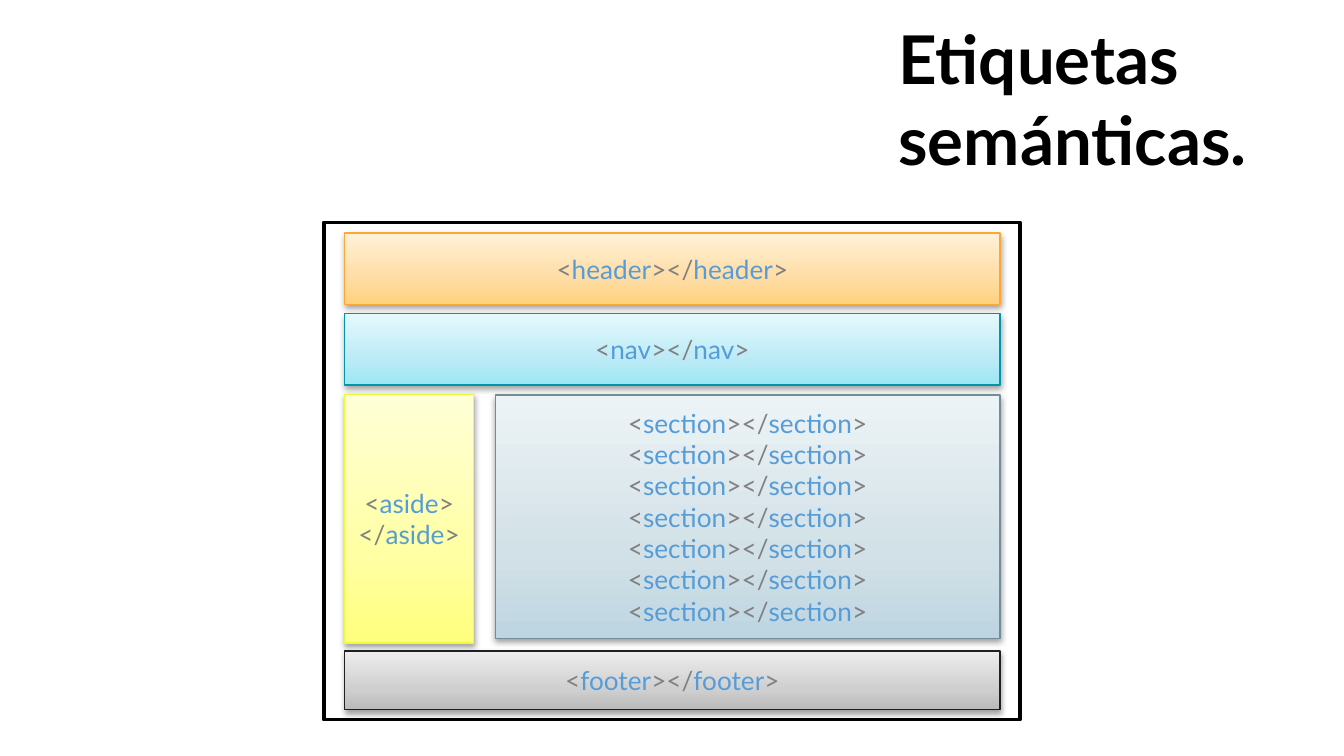
from copy import deepcopy

from lxml import etree
from pptx import Presentation, util as u
from pptx.dml.color import RGBColor
from pptx.enum import shapes, text
from pptx.oxml import ns

PX = 4572
FONT = "Lato"
BLACK = RGBColor(0, 0, 0)
WHITE = RGBColor(255, 255, 255)
GRAY = RGBColor(0x80, 0x80, 0x80)
BLUE = RGBColor(0x56, 0x9C, 0xD6)
ORANGE = [RGBColor.from_string(c) for c in ("FDA739", "FFD17D", "FFDCA3", "FFF1D8")]
CYAN = [RGBColor.from_string(c) for c in ("0096A7", "9CE7F5", "BBEAF6", "E4F9FC")]
SLATE = [RGBColor.from_string(c) for c in ("748C98", "BDD5E1", "D2E1E7", "ECF3F6")]
YELLOW = [RGBColor.from_string(c) for c in ("EBFD3A", "FFFF7D", "FFFFA3", "FFFFD8")]
SILVER = [RGBColor.from_string(c) for c in ("202020", "BBBBBB", "CFCFCF", "EDEDED")]
SHADOW = (
    f'<a:outerShdw {ns.nsdecls("a")} blurRad="40000" dist="20000" dir="5400000" '
    'rotWithShape="0"><a:srgbClr val="000000"><a:alpha val="37000"/>'
    "</a:srgbClr></a:outerShdw>"
)


def write(shape, lines, size=14, bold=False, align=text.PP_ALIGN.CENTER,
          colors=(GRAY, BLUE), pad=10):
    frame = shape.text_frame
    frame.word_wrap = True
    frame.auto_size = text.MSO_AUTO_SIZE.NONE
    frame.vertical_anchor = text.MSO_ANCHOR.MIDDLE
    frame.margin_left = frame.margin_right = 20 * PX
    frame.margin_top = frame.margin_bottom = pad * PX
    for i, line in enumerate(lines):
        para = frame.add_paragraph() if i else frame.paragraphs[0]
        para.alignment = align
        for j, part in enumerate(line.split("|")):
            run = para.add_run()
            run.text = part
            run.font.name = FONT
            run.font.size = u.Pt(size)
            run.font.bold = bold
            run.font.color.rgb = colors[j % len(colors)]


def block(x, y, w, h, edge, width):
    box = slide.shapes.add_shape(
        shapes.MSO_SHAPE.RECTANGLE, x * PX, y * PX, w * PX, h * PX)
    box.shadow.inherit = False
    box.line.color.rgb = edge
    box.line.width = u.Pt(width)
    return box


deck = Presentation()
deck.slide_width, deck.slide_height = 2000 * PX, 1125 * PX
slide = deck.slides.add_slide(deck.slide_layouts[5])

title = slide.shapes.title
title.left, title.top, title.width, title.height = (n * PX for n in (1317, 55, 618, 182))
write(title, ["Etiquetas semánticas."], size=36, bold=True,
      align=text.PP_ALIGN.LEFT, colors=[BLACK], pad=20)

page = block(482, 331, 1036, 740, BLACK, 2)
page.fill.solid()
page.fill.fore_color.rgb = WHITE

PAIR = "<|{0}|></|{0}|>"
PARTS = [
    ("header", 513, 347, 975, 106, ORANGE, [PAIR]),
    ("nav", 513, 467, 975, 106, CYAN, [PAIR]),
    ("section", 737, 588, 751, 362, SLATE, [PAIR] * 7),
    ("aside", 513, 587, 192, 370, YELLOW, ["<|{0}|>", "</|{0}|>"]),
    ("footer", 513, 969, 975, 87, SILVER, [PAIR]),
]
for tag, x, y, w, h, (edge, *tones), lines in PARTS:
    box = block(x, y, w, h, edge, 0.75)
    box.fill.gradient()
    box.fill.gradient_angle = 90
    props = box._element.spPr
    stops = props.find(".//" + ns.qn("a:gsLst"))
    stops.append(deepcopy(stops[0]))
    for stop, spot, tone in zip(box.fill.gradient_stops, (0, 0.35, 1), tones):
        stop.position = spot
        stop.color.rgb = tone
    props.find(ns.qn("a:effectLst")).append(etree.fromstring(SHADOW))
    write(box, [line.format(tag) for line in lines])

deck.save("out.pptx")
